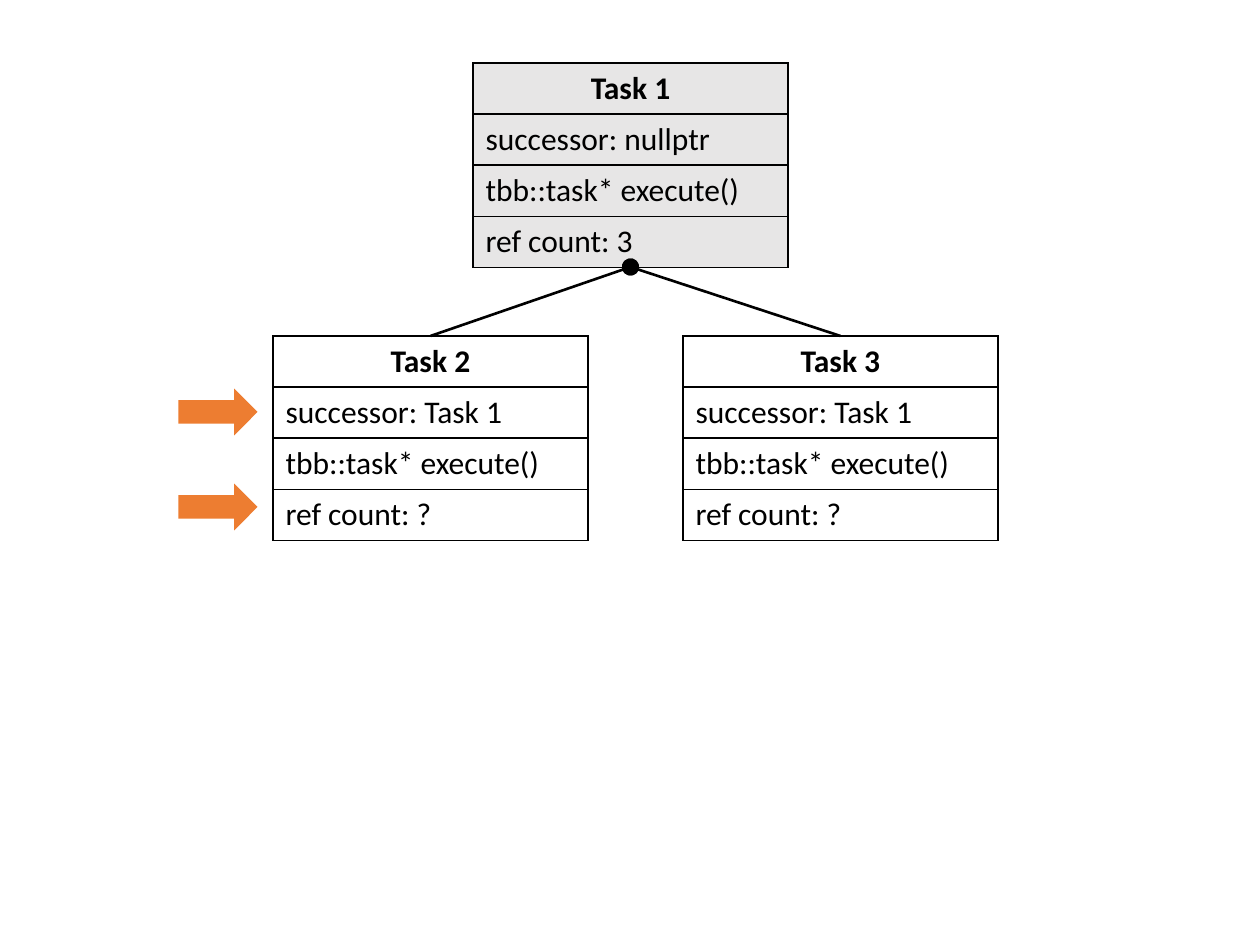
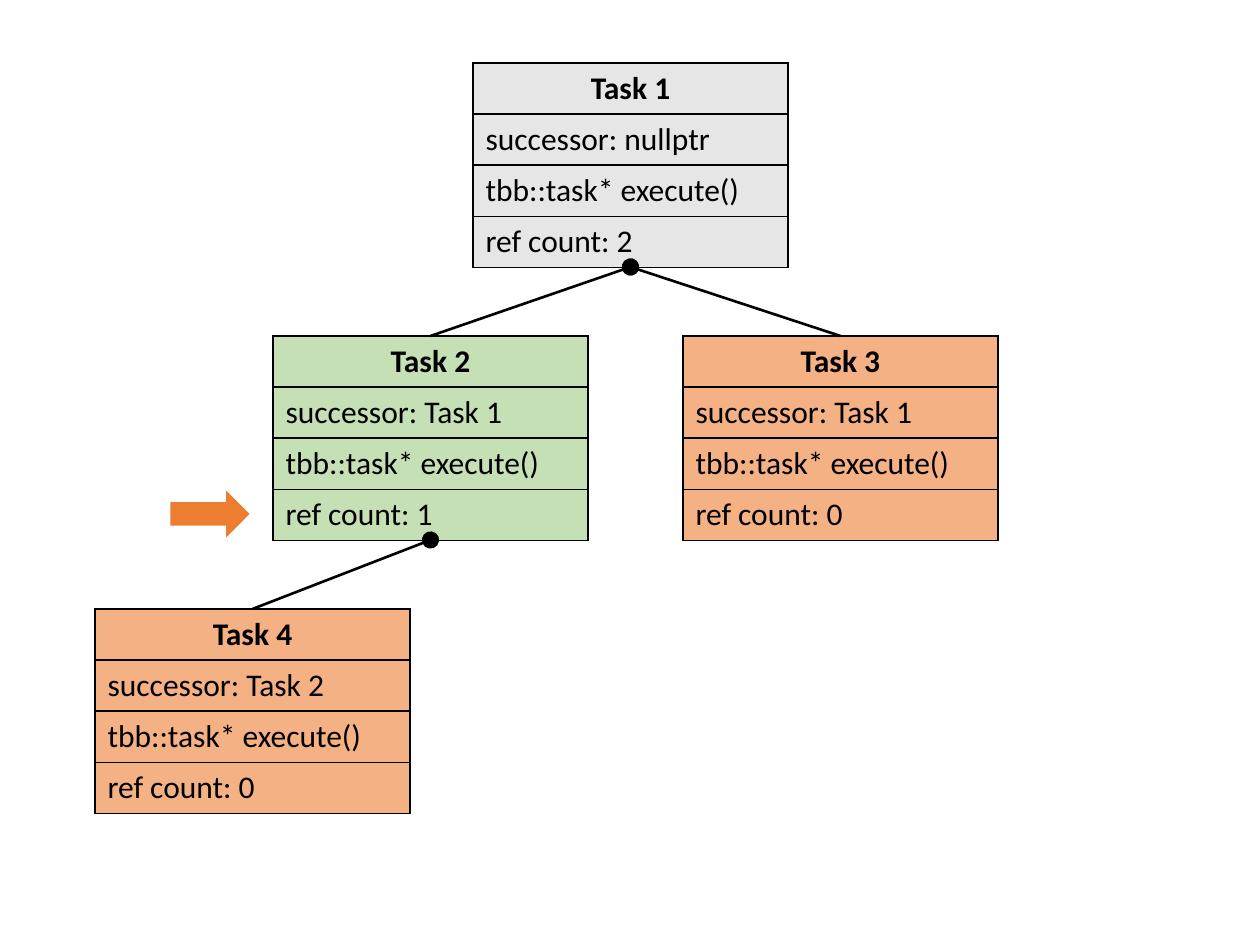
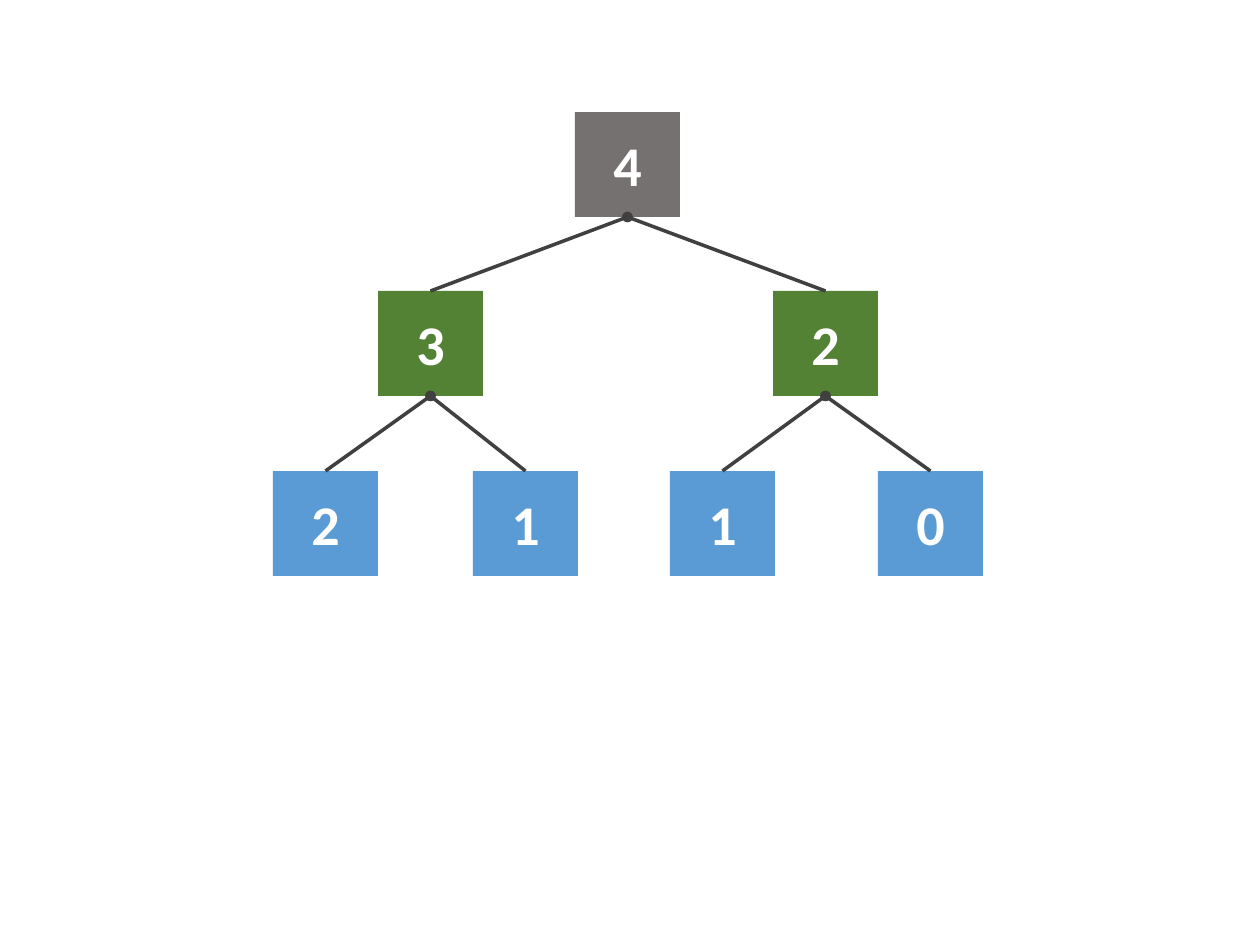
"""Build three slides on task trees and reference counts."""
from lxml.etree import SubElement
from pptx import Presentation
from pptx.dml.color import RGBColor
from pptx.enum.shapes import MSO_CONNECTOR as CONN, MSO_SHAPE as SHAPE
from pptx.enum.text import MSO_ANCHOR as ANCHOR, PP_ALIGN as ALIGN
from pptx.oxml import parse_xml
from pptx.oxml.ns import nsdecls, qn
from pptx.util import Pt

BLACK = RGBColor(0, 0, 0)
WHITE = RGBColor(0xFF, 0xFF, 0xFF)
PALE_GRAY = RGBColor(0xE7, 0xE6, 0xE6)
PALE_GREEN = RGBColor(0xC5, 0xE0, 0xB4)
PALE_ORANGE = RGBColor(0xF4, 0xB1, 0x83)
ORANGE = RGBColor(0xED, 0x7D, 0x31)
GRAY = RGBColor(0x76, 0x71, 0x71)
GREEN = RGBColor(0x54, 0x82, 0x35)
BLUE = RGBColor(0x5B, 0x9B, 0xD5)
DARK = RGBColor(0x40, 0x40, 0x40)
FONT = "Calibri"

TASK_W, ROW_H, TASK_TOP, TASK_PITCH = 315, 51, 63, 273
ARROW_W, ARROW_H = 47, 79
NODE, NODE_TOPS = 105, (112, 291, 471)

# fmt: off
TASK_PLACES = {1: (473, 0), 2: (273, 1), 3: (683, 1), 4: (95, 2)}
SUCCESSORS = {1: None, 2: 1, 3: 1, 4: 2}
TASK_SLIDES = [
    {"tasks": [(1, "3", PALE_GRAY), (2, "?", WHITE), (3, "?", WHITE)],
     "arrows": [(218, 412), (218, 507)]},
    {"tasks": [(1, "2", PALE_GRAY), (2, "1", PALE_GREEN),
               (3, "0", PALE_ORANGE), (4, "0", PALE_ORANGE)],
     "arrows": [(210, 514)]},
]
NODES = [
    ("4", 575, 0, None), ("3", 378, 1, 0), ("2", 773, 1, 0),
    ("2", 273, 2, 1), ("1", 473, 2, 1), ("1", 670, 2, 2), ("0", 878, 2, 2),
]
LEVEL_FILLS = (GRAY, GREEN, BLUE)


def px(n):
    return round(n * 914400 / 126)


def add_text(tf, text, size=18, color=BLACK, bold=False, align=ALIGN.LEFT):
    p = tf.paragraphs[0]
    p.alignment = align
    r = p.add_run()
    r.text = text
    r.font.name, r.font.size, r.font.bold = FONT, Pt(size), bold
    r.font.color.rgb = color


def add_borders(cell):
    tc_pr = cell._tc.get_or_add_tcPr()
    for side in ("lnL", "lnR", "lnT", "lnB"):
        tc_pr.append(parse_xml(
            f'<a:{side} {nsdecls("a")} w="{Pt(1)}"><a:solidFill>'
            f'<a:srgbClr val="{BLACK}"/></a:solidFill></a:{side}>'))


def add_task(slide, number, count, fill):
    left, level = TASK_PLACES[number]
    parent = SUCCESSORS[number]
    rows = [f"Task {number}",
            f"successor: {f'Task {parent}' if parent else 'nullptr'}",
            "tbb::task* execute()", f"ref count: {count}"]
    top = TASK_TOP + level * TASK_PITCH
    table = slide.shapes.add_table(len(rows), 1, px(left), px(top), px(TASK_W),
                                   px(ROW_H * len(rows))).table
    table.first_row = table.horz_banding = False
    for i, text in enumerate(rows):
        cell = table.cell(i, 0)
        add_borders(cell)
        cell.fill.solid()
        cell.fill.fore_color.rgb = fill
        add_text(cell.text_frame, text, bold=i == 0,
                 align=ALIGN.LEFT if i else ALIGN.CENTER)


def add_shape(slide, kind, left, top, width, height, fill):
    sp = slide.shapes.add_shape(kind, px(left), px(top), px(width), px(height))
    sp.shadow.inherit = False
    sp.fill.solid()
    sp.fill.fore_color.rgb = fill
    sp.line.fill.background()
    return sp


def add_link(slide, start, end, color, width, dot):
    cx = slide.shapes.add_connector(CONN.STRAIGHT, *map(px, start + end))
    cx.line.color.rgb = color
    cx.line.width = Pt(width)
    SubElement(cx.line._get_or_add_ln(), qn("a:tailEnd"), type="oval", w=dot, len=dot)
    SubElement(cx._element.spPr, qn("a:effectLst"))


def task_slide(slide, tasks, arrows):
    for task in tasks:
        add_task(slide, *task)
    for number, _, _ in tasks:
        parent = SUCCESSORS[number]
        if parent:
            left, level = TASK_PLACES[number]
            up_left, up_level = TASK_PLACES[parent]
            start = left + TASK_W / 2, TASK_TOP + level * TASK_PITCH
            end = up_left + TASK_W / 2, TASK_TOP + up_level * TASK_PITCH + 4 * ROW_H
            add_link(slide, start, end, BLACK, 1.5, "lg")
    for x, y in arrows:
        sp = add_shape(slide, SHAPE.UP_ARROW, x - ARROW_W / 2, y - ARROW_H / 2,
                       ARROW_W, ARROW_H, ORANGE)
        sp.rotation = 90


def count_slide(slide):
    for text, left, level, _ in NODES:
        sp = add_shape(slide, SHAPE.RECTANGLE, left, NODE_TOPS[level],
                       NODE, NODE, LEVEL_FILLS[level])
        sp.text_frame.vertical_anchor = ANCHOR.MIDDLE
        add_text(sp.text_frame, text, size=32, color=WHITE, bold=True,
                 align=ALIGN.CENTER)
    for _, left, level, parent in NODES:
        if parent is not None:
            _, up_left, up_level, _ = NODES[parent]
            add_link(slide, (left + NODE / 2, NODE_TOPS[level]),
                     (up_left + NODE / 2, NODE_TOPS[up_level] + NODE), DARK, 2, "med")


def main():
    prs = Presentation()
    prs.slide_width, prs.slide_height = px(1260), px(945)
    blank = prs.slide_layouts[6]
    for content in TASK_SLIDES:
        task_slide(prs.slides.add_slide(blank), **content)
    count_slide(prs.slides.add_slide(blank))
    prs.save("out.pptx")


if __name__ == "__main__":
    main()
